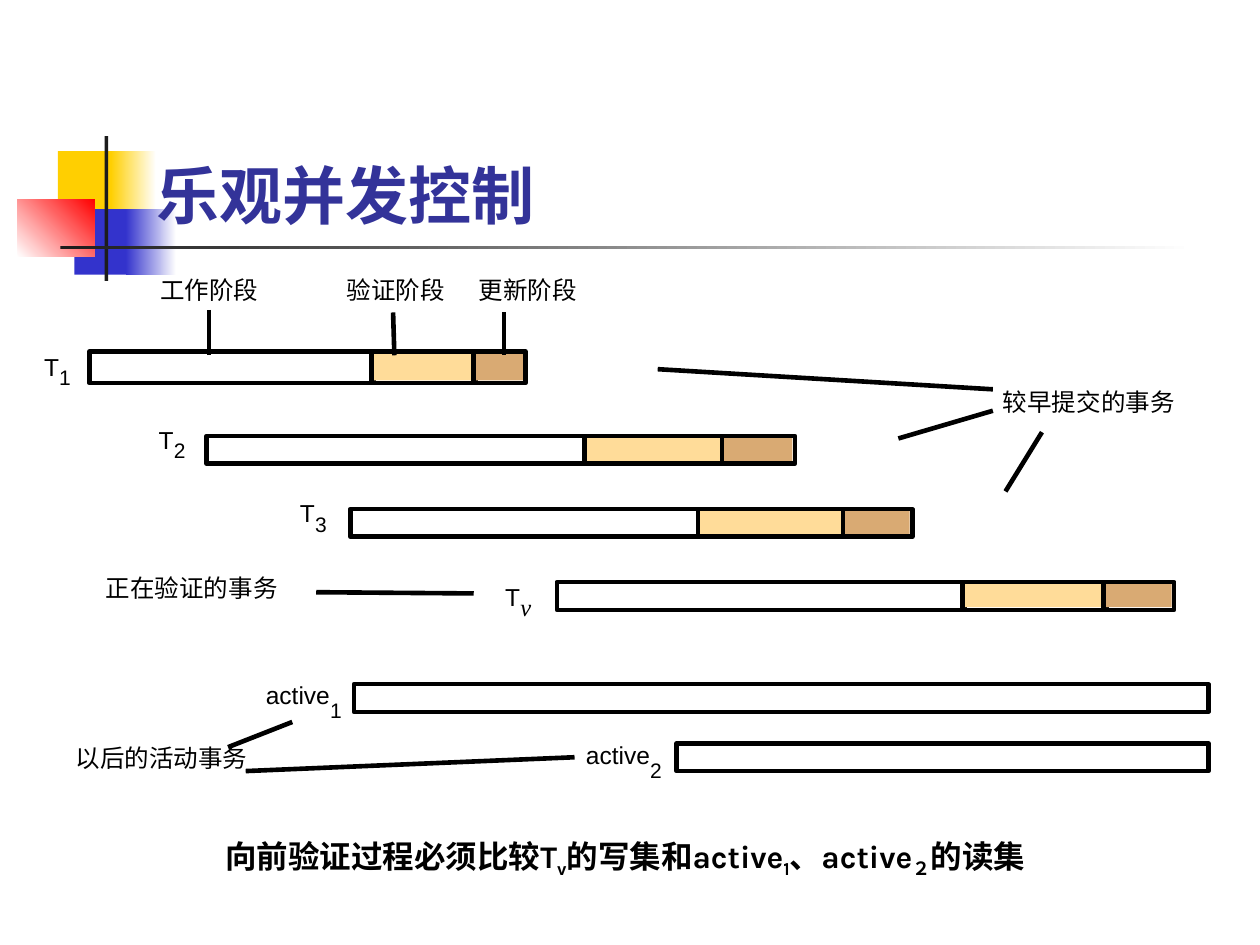
"""Build the slide on forward validation in optimistic concurrency control."""
from dataclasses import dataclass

from lxml import etree
from pptx import Presentation
from pptx.dml.color import RGBColor
from pptx.enum.shapes import MSO_CONNECTOR, MSO_SHAPE
from pptx.enum.text import MSO_ANCHOR, MSO_AUTO_SIZE
from pptx.oxml.ns import qn
from pptx.util import Inches, Pt

RECTANGLE = MSO_SHAPE.RECTANGLE
STRAIGHT = MSO_CONNECTOR.STRAIGHT
TOP, BOTTOM = MSO_ANCHOR.TOP, MSO_ANCHOR.BOTTOM
GROW = MSO_AUTO_SIZE.SHAPE_TO_FIT_TEXT

BLACK = RGBColor(0x00, 0x00, 0x00)
WHITE = RGBColor(0xFF, 0xFF, 0xFF)
YELLOW = RGBColor(0xFF, 0xCF, 0x01)
BLUE = RGBColor(0x33, 0x33, 0xCC)
RED = RGBColor(0xFF, 0x00, 0x00)
CHARCOAL = RGBColor(0x1C, 0x1C, 0x1C)
TITLE_BLUE = RGBColor(0x33, 0x33, 0x99)
VALIDATION = RGBColor(0xFF, 0xDC, 0x99)
UPDATE = RGBColor(0xD9, 0xAA, 0x73)
PHASE_COLORS = (WHITE, VALIDATION, UPDATE)

CJK_FONT = "Noto Sans CJK JP"
SERIF = "Times New Roman"
STROKE = Pt(2.64)
OVERLAP = 0.02


@dataclass(frozen=True)
class Decoration:
    left: float
    top: float
    width: float
    height: float
    colors: tuple[RGBColor, ...]
    angle: float = 0


@dataclass(frozen=True)
class Transaction:
    name: str
    index: str
    label_left: float
    label_top: float
    name_width: float
    index_drop: float
    bar_top: float
    edges: tuple[float, ...]
    bar_height: float = 0.22
    index_size: float = 12
    index_font: str = "Arial"
    index_italic: bool = False


@dataclass(frozen=True)
class Caption:
    text: str
    left: float
    top: float
    width: float
    font: str = "Arial"


DECORATIONS = (
    Decoration(0.46, 1.2, 0.48, 0.52, (YELLOW,)),
    Decoration(0.88, 1.2, 0.36, 0.52, (YELLOW, WHITE)),
    Decoration(0.59, 1.66, 0.46, 0.52, (BLUE,)),
    Decoration(1, 1.66, 0.4, 0.52, (BLUE, WHITE)),
    Decoration(0.14, 1.58, 0.61, 0.46, (WHITE, RED), 45),
    Decoration(0.83, 1.08, 0.03, 1.15, (CHARCOAL,)),
    Decoration(0.48, 1.95, 9, 0.03, (CHARCOAL, WHITE)),
)
TRANSACTIONS = (
    Transaction("T", "1", 0.35, 2.79, 0.12, 0.1, 2.79, (0.71, 2.95, 3.76, 4.15), 0.25),
    Transaction("T", "2", 1.26, 3.37, 0.12, 0.1, 3.46, (1.64, 4.64, 5.73, 6.29)),
    Transaction("T", "3", 2.38, 3.95, 0.12, 0.11, 4.04, (2.78, 5.54, 6.69, 7.22)),
    Transaction("T", "v", 4.01, 4.62, 0.12, 0.08, 4.62, (4.42, 7.64, 8.76, 9.3),
                index_size=14, index_font=SERIF, index_italic=True),
    Transaction("active", "1", 2.11, 5.4, 0.51, 0.14, 5.43, (2.81, 9.57)),
    Transaction("active", "2", 4.65, 5.87, 0.51, 0.14, 5.9, (5.37, 9.57)),
)
CAPTIONS = (
    Caption("工作阶段", 1.27, 2.18, 0.78, SERIF),
    Caption("验证阶段", 2.75, 2.18, 0.78),
    Caption("更新阶段", 3.8, 2.18, 0.78),
    Caption("较早提交的事务", 7.96, 3.07, 1.37),
    Caption("正在验证的事务", 0.84, 4.55, 1.37, SERIF),
    Caption("以后的活动事务", 0.6, 5.9, 1.37),
)
POINTERS = (
    (1.66, 2.46, 1.66, 2.82),
    (3.12, 2.48, 3.13, 2.82),
    (4, 2.48, 4, 2.82),
    (5.22, 2.93, 7.88, 3.09),
    (7.13, 3.48, 7.88, 3.26),
    (7.98, 3.9, 8.27, 3.43),
    (2.51, 4.7, 3.76, 4.71),
    (1.81, 5.93, 2.32, 5.73),
    (1.95, 6.12, 4.56, 6.01),
)
CONCLUSION = ("向前验证过程必须比较T", "v", "的写集和active", "1", "、active", "２", "的读集")


def add_text(slide, parts: tuple[str, ...], left: float, top: float, width: float,
             height: float, *, size: float = 14, font: str = "Arial",
             color: RGBColor = BLACK, bold: bool = False, italic: bool = False,
             wrap: bool = False, margins: tuple[float, float] = (0, 0),
             anchor: MSO_ANCHOR = TOP, grow: bool = True) -> None:
    """Add a text box whose every second part is a subscript."""
    box = slide.shapes.add_textbox(Inches(left), Inches(top), Inches(width), Inches(height))
    frame = box.text_frame
    frame.word_wrap = wrap
    frame.vertical_anchor = anchor
    if grow:
        frame.auto_size = GROW
    frame.margin_left = frame.margin_right = Inches(margins[0])
    frame.margin_top = frame.margin_bottom = Inches(margins[1])
    for position, part in enumerate(parts):
        run = frame.paragraphs[0].add_run()
        run.text = part
        run.font.size = Pt(size)
        run.font.name = font
        run.font.bold = bold
        run.font.italic = italic
        run.font.color.rgb = color
        properties = run._r.get_or_add_rPr()
        etree.SubElement(properties, qn("a:ea")).set("typeface", CJK_FONT)
        if position % 2:
            properties.set("baseline", "-25000")


def add_rectangle(slide, left: float, top: float, width: float, height: float):
    """Add a rectangle without shadow, fill or line."""
    rectangle = slide.shapes.add_shape(
        RECTANGLE, Inches(left), Inches(top), Inches(width), Inches(height))
    rectangle.shadow.inherit = False
    rectangle.fill.background()
    rectangle.line.fill.background()
    return rectangle


def draw_decoration(slide, item: Decoration) -> None:
    """Draw a solid or two-colour block of the title ornament."""
    fill = add_rectangle(slide, item.left, item.top, item.width, item.height).fill
    if len(item.colors) == 1:
        fill.solid()
        fill.fore_color.rgb = item.colors[0]
        return
    fill.gradient()
    fill.gradient_angle = item.angle
    for stop, color, position in zip(fill.gradient_stops, item.colors, (0, 1)):
        stop.color.rgb = color
        stop.position = position


def draw_transaction(slide, item: Transaction) -> None:
    """Draw the phases of a transaction and its indexed label."""
    for start, end, color in zip(item.edges, item.edges[1:], PHASE_COLORS):
        width = end - start
        area = add_rectangle(slide, start, item.bar_top, width, item.bar_height - OVERLAP)
        area.fill.solid()
        area.fill.fore_color.rgb = color
        outline = add_rectangle(slide, start, item.bar_top, width + OVERLAP, item.bar_height)
        outline.line.color.rgb = BLACK
        outline.line.width = STROKE
    add_text(slide, (item.name,), item.label_left, item.label_top, item.name_width, 0.23)
    add_text(slide, (item.index,), item.label_left + item.name_width,
             item.label_top + item.index_drop, 0.09, 0.2, size=item.index_size,
             font=item.index_font, italic=item.index_italic)


def draw_pointer(slide, ends: tuple[float, float, float, float]) -> None:
    """Draw a line that ties a caption to its transaction."""
    pointer = slide.shapes.add_connector(STRAIGHT, *(Inches(value) for value in ends))
    pointer.line.color.rgb = BLACK
    pointer.line.width = STROKE
    etree.SubElement(pointer._element.spPr, qn("a:effectLst"))


def main() -> None:
    """Assemble and save the slide."""
    presentation = Presentation()
    presentation.slide_width, presentation.slide_height = Inches(10), Inches(7.5)
    slide = presentation.slides.add_slide(presentation.slide_layouts[6])
    for decoration in DECORATIONS:
        draw_decoration(slide, decoration)
    add_text(slide, ("乐观并发控制",), 1.14, 0.91, 7.4, 0.98, size=36, font=CJK_FONT,
             color=TITLE_BLUE, bold=True, wrap=True, margins=(0.1, 0.05),
             anchor=BOTTOM, grow=False)
    for transaction in TRANSACTIONS:
        draw_transaction(slide, transaction)
    for caption in CAPTIONS:
        add_text(slide, (caption.text,), caption.left, caption.top, caption.width, 0.23,
                 font=caption.font)
    for pointer in POINTERS:
        draw_pointer(slide, pointer)
    add_text(slide, CONCLUSION, 1.69, 6.59, 6.93, 0.74, size=18, font="Karla",
             bold=True, wrap=True, margins=(0.1, 0.05))
    presentation.save("out.pptx")


if __name__ == "__main__":
    main()
